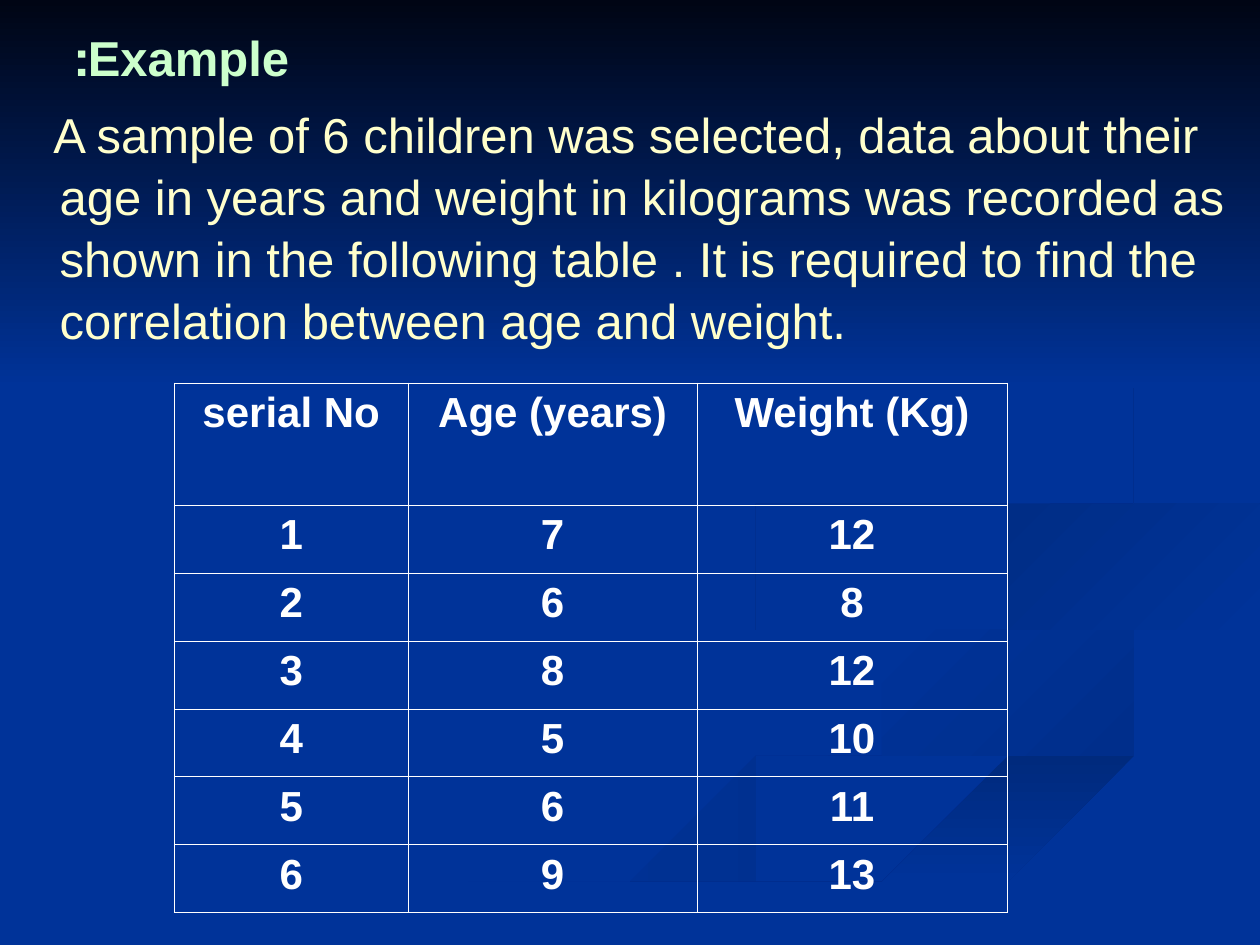
from pptx import Presentation
from pptx import util as u
from pptx.dml.color import RGBColor
from pptx.enum import shapes, text
from pptx.oxml import parse_xml
from pptx.oxml.ns import nsdecls

# Content
TITLE = "Example:"
BODY = ("A sample of 6 children was selected, data about their age in years and weight "
        "in kilograms was recorded as shown in the following table . It is required to "
        "find the correlation between age and weight.")
HEADER = ("serial No", "Age (years)", "Weight (Kg)")
MEASURES = [(7, 12), (6, 8), (8, 12), (5, 10), (6, 11), (9, 13)]  # age, weight
ROWS = [HEADER] + [(i, *pair) for i, pair in enumerate(MEASURES, 1)]

THEME = {
    "font": "Arial", "text_size": 28, "table_size": 24, "border": 0.45,
    "background": "003399", "night": "000514",
    "title": "CCFFCC", "body": "FFFFCC", "table": "FFFFFF",
}
BG = THEME["background"]

# Layout in cm: left, top, width, height
SKY_BOX = (0, 0, 25.4, 7.82)
TITLE_BOX = (1.27, 0.76, 22.86, 0.76)
BODY_BOX = (0, 1.93, 25.4, 5)
TABLE_AT = (3.51, 7.72)
COL_WIDTHS = (4.72, 5.82, 6.25)
HEADER_HEIGHT, ROW_HEIGHT = 2.46, 1.37

# Ribbons on a 10 by 7.5 grid: start colour, end colour, angle, edge out, edge back
GRID_UNIT = 2.54
CURVE_STEPS = 5
RIBBONS = [
    (BG, "002E8B", 0,  # lower left
     [(5.75, 4.6), (6.02, 4.9), (6.82, 5.19), (7.57, 5.43), (8, 5.81), (7.56, 6.14),
      (6.23, 6.47), (4.99, 6.87), (3.61, 7.49)],
     [(3, 7.49), (4.58, 6.74), (6.16, 6.29), (7.49, 5.94), (7.86, 5.66), (7.52, 5.43),
      (6.54, 5.13), (5.81, 4.83)]),
    (BG, "002E8B", 45,  # right hook
     [(7.24, 4.64), (7.58, 4.98), (8.5, 5.24), (9.3, 5.53), (9.37, 5.86), (8.94, 6.05)],
     [(9.17, 5.76), (8.8, 5.49), (7.97, 5.24), (7.33, 4.88)]),
    ("002A7D", BG, 90,  # lower right
     [(5.03, 7.49), (6.3, 6.93), (7.64, 6.47), (9.03, 6.1), (9.98, 5.81)],
     [(9.98, 6.09), (8.21, 6.51), (6.7, 7.02), (5.71, 7.49)]),
    ("002D86", BG, 45,  # upper right
     [(8.26, 4.96), (7.81, 4.6), (8.5, 4.27), (9.98, 4.02)],
     [(9.98, 4.2), (8.43, 4.48), (8.05, 4.72)]),
    ("002B82", BG, 45,  # upper curl
     [(7.62, 2.33), (8.64, 2.91), (8.94, 3.44), (8.41, 3.96), (6.83, 4.3), (5.93, 4.7),
      (6.22, 5)],
     [(5.77, 4.62), (6.49, 4.2), (8.18, 3.86), (8.89, 3.35), (8.46, 2.79)]),
]


def rgb(value):
    return RGBColor.from_string(value)


def smooth_edge(points):
    """Run a Catmull-Rom curve through the points."""
    padded = [points[0], *points, points[-1]]
    curve = []
    for quad in zip(padded, padded[1:], padded[2:], padded[3:]):
        for step in range(CURVE_STEPS):
            t = step / CURVE_STEPS
            curve.append(tuple(
                b + t / 2 * (c - a + t * (2 * a - 5 * b + 4 * c - d
                                          + t * (3 * (b - c) + d - a)))
                for a, b, c, d in zip(*quad)))
    return curve + [points[-1]]


def paint(sp, start, end, angle):
    sp.shadow.inherit = False
    sp.line.fill.background()
    sp.fill.gradient()
    sp.fill.gradient_angle = -angle % 360
    for stop, color in zip(sp.fill.gradient_stops, (start, end)):
        stop.color.rgb = rgb(color)


def style(p, size, color, bold=False):
    p.font.name = THEME["font"]
    p.font.size = u.Pt(size)
    p.font.bold = bold
    p.font.color.rgb = rgb(color)


def fill_placeholder(sp, box, words, color, anchor, bold=False):
    sp.left, sp.top, sp.width, sp.height = map(u.Cm, box)
    tf = sp.text_frame
    tf.text = words
    tf.word_wrap = True
    tf.auto_size = text.MSO_AUTO_SIZE.NONE
    tf.vertical_anchor = anchor
    p = tf.paragraphs[0]
    p.alignment = text.PP_ALIGN.LEFT
    style(p, THEME["text_size"], color, bold)
    return p


def add_borders(cell):
    tc_pr = cell._tc.get_or_add_tcPr()
    for i, side in enumerate(("lnL", "lnR", "lnT", "lnB")):
        tc_pr.insert(i, parse_xml(
            f'<a:{side} {nsdecls("a")} w="{u.Pt(THEME["border"])}"><a:solidFill>'
            f'<a:srgbClr val="{THEME["table"]}"/></a:solidFill></a:{side}>'))


prs = Presentation()
prs.slide_width, prs.slide_height = u.Cm(25.4), u.Cm(19.05)
s = prs.slides.add_slide(prs.slide_layouts[1])
s.background.fill.solid()
s.background.fill.fore_color.rgb = rgb(BG)

# Backdrop, grouped and sent behind the placeholders
backdrop = s.shapes.add_group_shape()
for start, end, angle, edge_out, edge_back in RIBBONS:
    outline = smooth_edge(edge_out) + smooth_edge(edge_back)
    builder = backdrop.shapes.build_freeform(*outline[0], scale=u.Cm(GRID_UNIT))
    builder.add_line_segments(outline[1:], close=True)
    paint(builder.convert_to_shape(), start, end, angle)
sky = backdrop.shapes.add_shape(shapes.MSO_SHAPE.RECTANGLE, *map(u.Cm, SKY_BOX))
paint(sky, THEME["night"], BG, 90)
s.shapes._spTree.insert(2, backdrop._element)

# Title, set right to left
p = fill_placeholder(s.shapes.title, TITLE_BOX, TITLE, THEME["title"],
                     text.MSO_ANCHOR.MIDDLE, bold=True)
p._p.get_or_add_pPr().set("rtl", "1")

# Body paragraph without a bullet
p = fill_placeholder(s.placeholders[1], BODY_BOX, BODY, THEME["body"], text.MSO_ANCHOR.TOP)
p.space_before = u.Pt(7)
p.line_spacing = 1.05
p_pr = p._p.get_or_add_pPr()
p_pr.set("marL", str(u.Cm(0.95)))
p_pr.set("indent", str(u.Cm(-0.13)))
p_pr.insert_element_before(parse_xml(f'<a:buNone {nsdecls("a")}/>'),
                           "a:tabLst", "a:defRPr", "a:extLst")

# Table
heights = [HEADER_HEIGHT] + [ROW_HEIGHT] * len(MEASURES)
table = s.shapes.add_table(len(ROWS), len(HEADER), *map(u.Cm, TABLE_AT),
                           u.Cm(sum(COL_WIDTHS)), u.Cm(sum(heights))).table
table.first_row = table.horz_banding = False
for column, width in zip(table.columns, COL_WIDTHS):
    column.width = u.Cm(width)
for row, height, values in zip(table.rows, heights, ROWS):
    row.height = u.Cm(height)
    for cell, value in zip(row.cells, values):
        cell.text = str(value)
        cell.fill.background()
        add_borders(cell)
        p = cell.text_frame.paragraphs[0]
        p.alignment = text.PP_ALIGN.CENTER
        style(p, THEME["table_size"], THEME["table"], bold=True)

prs.save("out.pptx")
